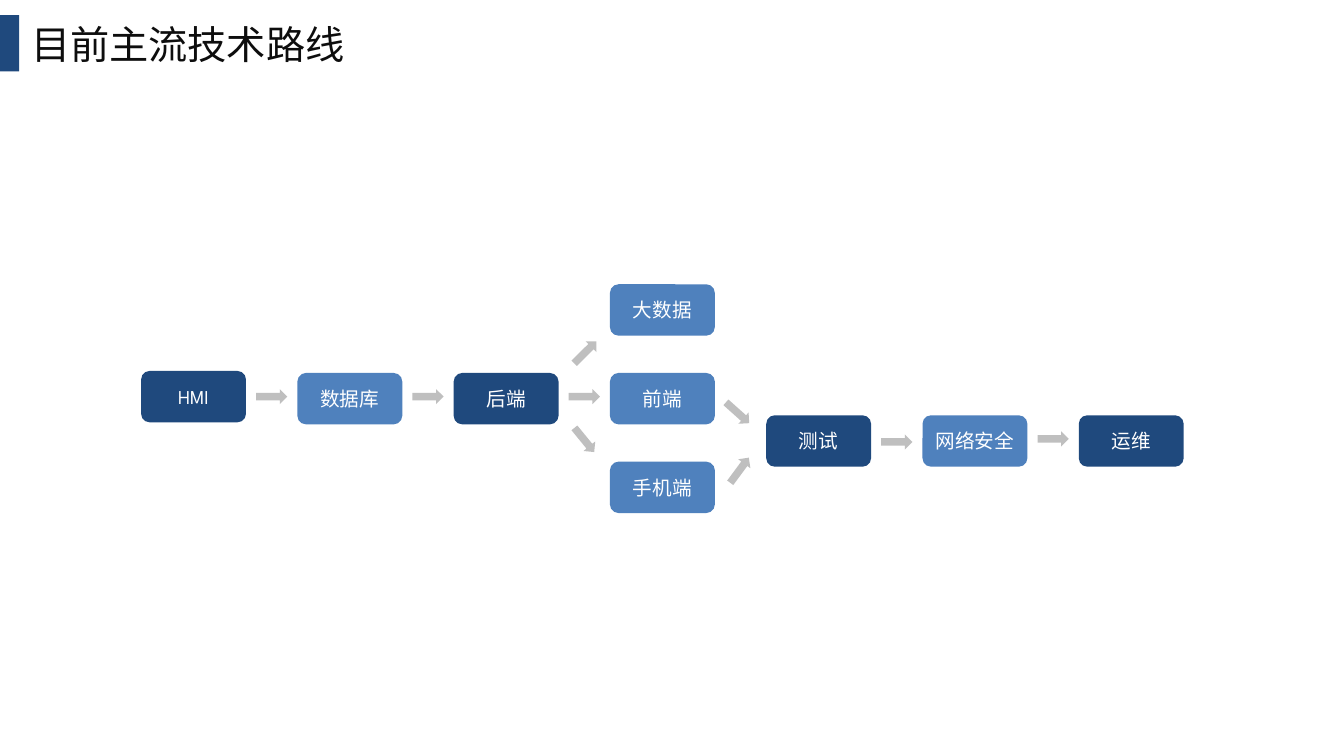
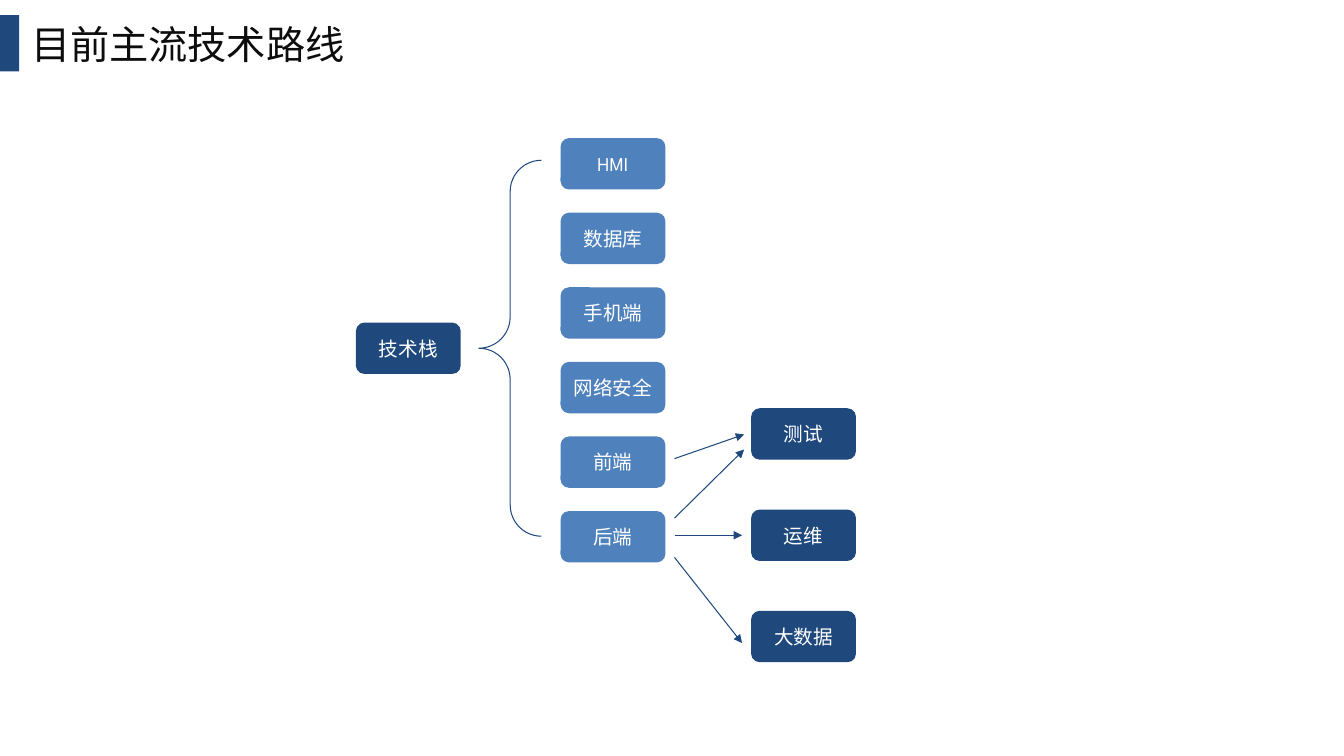
from lxml.etree import SubElement
from pptx import Presentation
from pptx.dml.color import RGBColor
from pptx.enum.shapes import MSO_CONNECTOR, MSO_SHAPE
from pptx.enum.text import MSO_ANCHOR, MSO_AUTO_SIZE, PP_ALIGN
from pptx.oxml.ns import qn
from pptx.util import Inches, Pt

# Shared style
NAVY, BLUE, GREY, WHITE, INK = "1F497D", "4F81BD", "BFBFBF", "FFFFFF", "0D0D0D"
LATIN, CJK = "League Spartan", "Noto Sans CJK SC"
BOX_W, BOX_H = 1.04, 0.51
ARROW_W, ARROW_H = 0.31, 0.15
TITLE = "目前主流技术路线"

# Route slide: (label, column, top, fill)
COL_LEFT, COL_STEP = 1.4, 1.55
ROUTE = [
    ("HMI", 0, 3.68, NAVY),
    ("数据库", 1, 3.7, BLUE),
    ("后端", 2, 3.7, NAVY),
    ("大数据", 3, 2.82, BLUE),
    ("前端", 3, 3.7, BLUE),
    ("手机端", 3, 4.58, BLUE),
    ("测试", 4, 4.12, NAVY),
    ("网络安全", 5, 4.12, BLUE),
    ("运维", 6, 4.12, NAVY),
]
# Arrows: (column they leave, top, rotation, shift from the usual gap)
ARROWS = [
    (0, 3.86, 0, 0), (1, 3.86, 0, 0), (2, 3.86, 0, 0),
    (2, 3.42, 315.2, 0.01), (2, 4.29, 50.7, 0),
    (3, 4.02, 41.8, -0.03), (3, 4.59, 306.4, -0.01),
    (4, 4.31, 0, 0), (5, 4.28, 0, 0),
]

# Stack slide
ROOT = ("技术栈", 3.53, 3.2)
LAYERS = ["HMI", "数据库", "手机端", "网络安全", "前端", "后端"]
LAYER_LEFT, LAYER_TOP, LAYER_STEP = 5.56, 1.37, 0.74
OUTCOMES = ["测试", "运维", "大数据"]
OUTCOME_LEFT, OUTCOME_TOP, OUTCOME_STEP = 7.45, 4.05, 1.005
BRACE = (4.75, 1.59, 0.62, 3.73)
LINKS = [  # start y, end x, end y
    (4.55, 7.38, 4.31),
    (5.14, 7.38, 4.46),
    (5.31, 7.36, 5.31),
    (5.53, 7.36, 6.38),
]
LINK_LEFT = 6.69


def rgb(value):
    return RGBColor.from_string(value)


def add_run(p, text, size, color, latin):
    r = p.add_run()
    r.text = text
    r.font.size = Pt(size)
    r.font.name = latin
    r.font.color.rgb = rgb(color)
    SubElement(r._r.get_or_add_rPr(), qn("a:ea")).set("typeface", CJK)


def add_filled(s, kind, left, top, width, height, fill):
    sp = s.shapes.add_shape(kind, Inches(left), Inches(top), Inches(width), Inches(height))
    sp.shadow.inherit = False
    sp.fill.solid()
    sp.fill.fore_color.rgb = rgb(fill)
    sp.line.fill.background()
    return sp


def add_box(s, label, left, top, fill):
    sp = add_filled(s, MSO_SHAPE.ROUNDED_RECTANGLE, left, top, BOX_W, BOX_H, fill)
    tf = sp.text_frame
    tf.word_wrap = True
    tf.vertical_anchor = MSO_ANCHOR.MIDDLE
    p = tf.paragraphs[0]
    p.alignment = PP_ALIGN.CENTER
    add_run(p, label, 14, WHITE, LATIN)


def add_link(s, x1, y1, x2, y2):
    cx = s.shapes.add_connector(
        MSO_CONNECTOR.STRAIGHT, Inches(x1), Inches(y1), Inches(x2), Inches(y2))
    cx.line.color.rgb = rgb(NAVY)
    cx.line.width = Pt(0.75)
    SubElement(cx.line._get_or_add_ln(), qn("a:tailEnd")).set("type", "triangle")
    SubElement(cx._element.spPr, qn("a:effectLst"))


def add_slide(prs):
    s = prs.slides.add_slide(prs.slide_layouts[5])
    title = s.shapes.title
    title.left, title.top = Inches(0.31), Inches(0.15)
    title.width, title.height = Inches(4.78), Inches(0.69)
    tf = title.text_frame
    tf.margin_left = tf.margin_right = tf.margin_top = tf.margin_bottom = 0
    tf.auto_size = MSO_AUTO_SIZE.NONE
    tf.word_wrap = True
    tf.vertical_anchor = MSO_ANCHOR.MIDDLE
    p = tf.paragraphs[0]
    p.alignment = PP_ALIGN.LEFT
    p.line_spacing = 0.7
    add_run(p, TITLE, 28, INK, CJK)
    add_filled(s, MSO_SHAPE.RECTANGLE, 0, 0.15, 0.19, 0.56, NAVY)
    return s


def build_route(prs):
    s = add_slide(prs)
    for label, col, top, fill in ROUTE:
        add_box(s, label, COL_LEFT + col * COL_STEP, top, fill)
    # Each arrow is centred in the gap after its column
    gap = (COL_STEP - BOX_W - ARROW_W) / 2
    for col, top, rotation, shift in ARROWS:
        left = COL_LEFT + col * COL_STEP + BOX_W + gap + shift
        arrow = add_filled(s, MSO_SHAPE.RIGHT_ARROW, left, top, ARROW_W, ARROW_H, GREY)
        arrow.rotation = rotation


def build_stack(prs):
    s = add_slide(prs)
    add_box(s, *ROOT, NAVY)
    for i, label in enumerate(LAYERS):
        add_box(s, label, LAYER_LEFT, LAYER_TOP + i * LAYER_STEP, BLUE)
    for i, label in enumerate(OUTCOMES):
        add_box(s, label, OUTCOME_LEFT, OUTCOME_TOP + i * OUTCOME_STEP, NAVY)
    # Brace from the root to its layers
    brace = s.shapes.add_shape(MSO_SHAPE.LEFT_BRACE, *[Inches(v) for v in BRACE])
    brace.shadow.inherit = False
    brace.adjustments[0] = 0.5
    brace.fill.background()
    brace.line.color.rgb = rgb(NAVY)
    brace.line.width = Pt(0.75)
    for y1, x2, y2 in LINKS:
        add_link(s, LINK_LEFT, y1, x2, y2)


def main():
    prs = Presentation()
    prs.slide_width, prs.slide_height = Inches(13.33), Inches(7.5)
    build_route(prs)
    build_stack(prs)
    prs.save("out.pptx")


if __name__ == "__main__":
    main()
